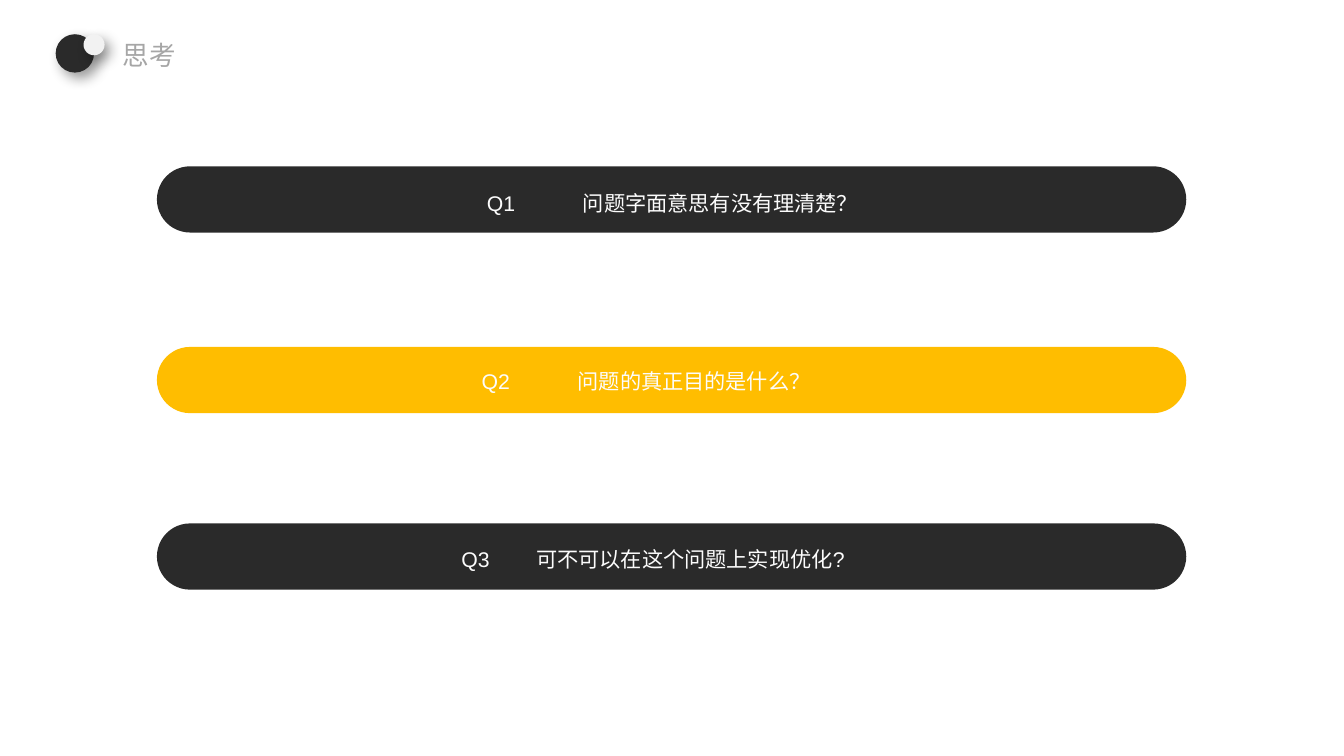
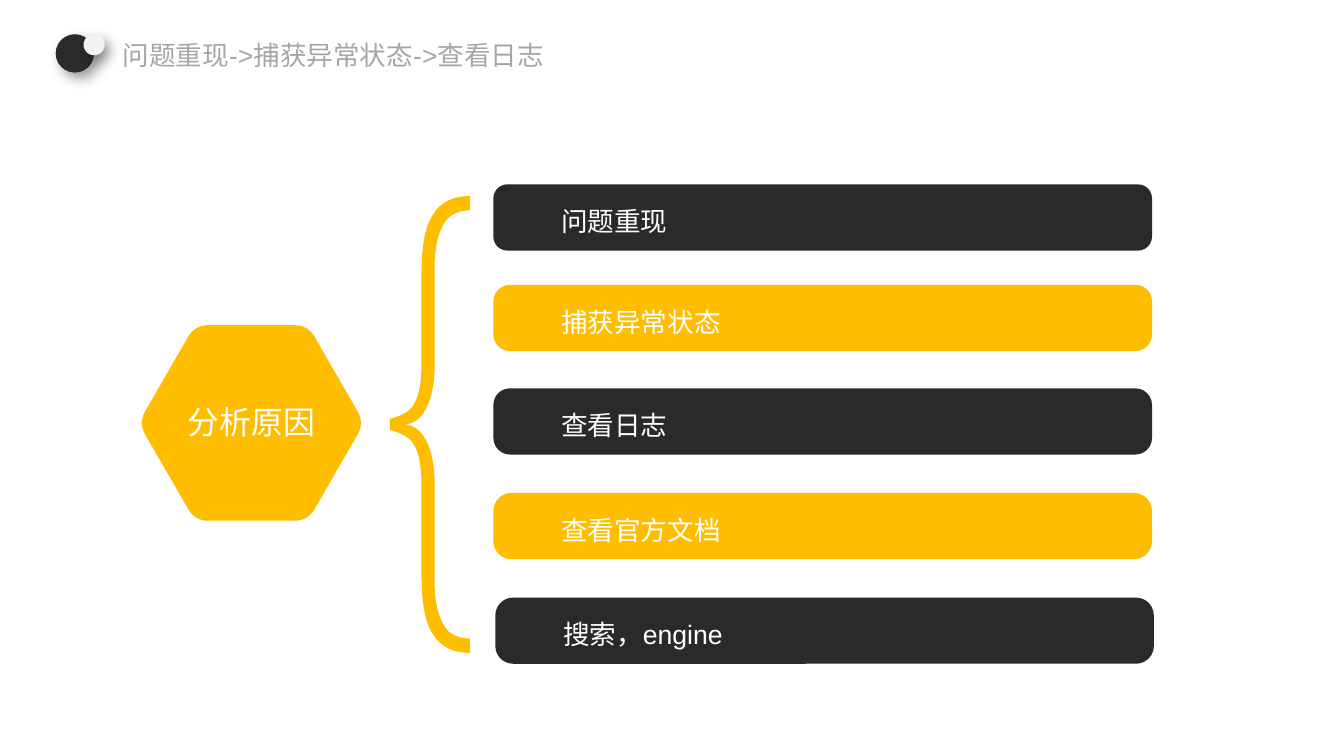
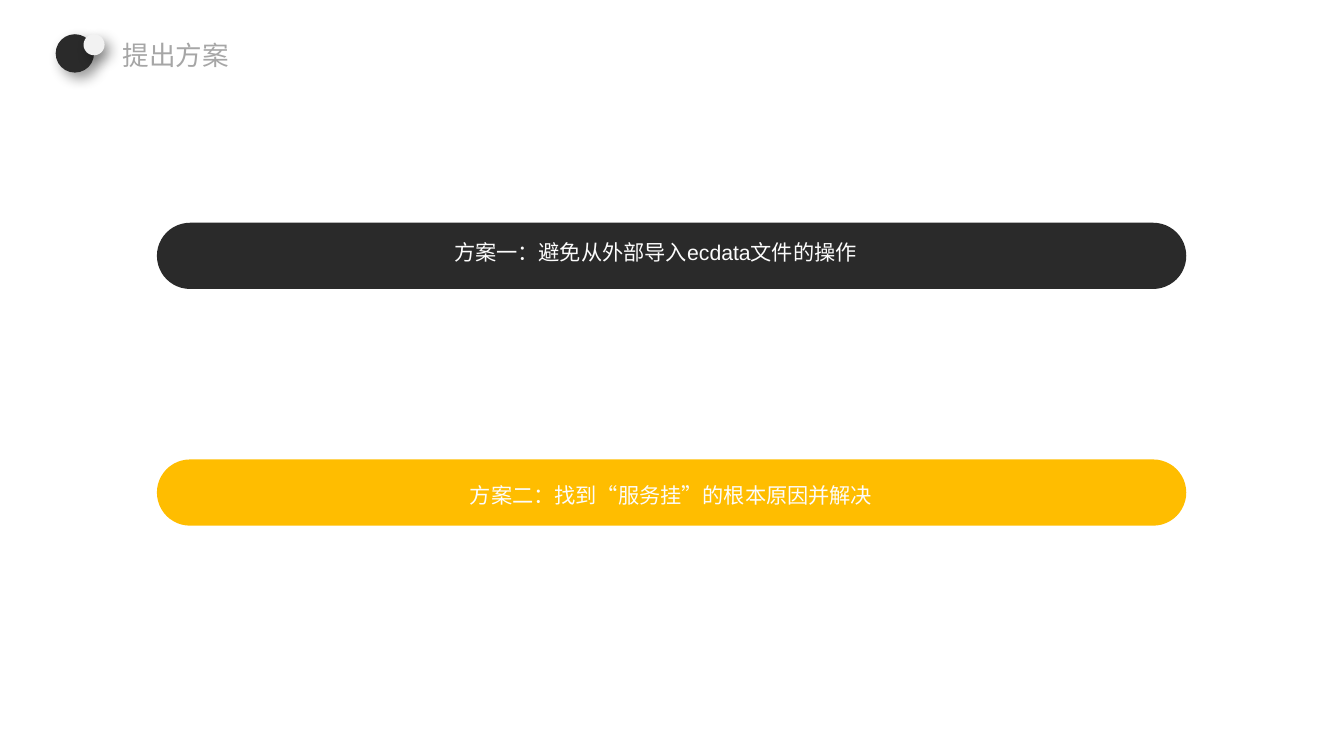
import math
import pptx
import pptx.util
import pptx.dml.color
import pptx.enum.shapes
import pptx.enum.text
import pptx.oxml.ns
import lxml.etree

Cm = pptx.util.Cm
Pt = pptx.util.Pt
RGB = pptx.dml.color.RGBColor
KIND = pptx.enum.shapes.MSO_SHAPE
ALIGN = pptx.enum.text.PP_ALIGN
ANCHOR = pptx.enum.text.MSO_ANCHOR
qn = pptx.oxml.ns.qn

# Shared style
FONT = "Arial"
DARK = RGB(0x2A, 0x2A, 0x2A)
GOLD = RGB(0xFF, 0xBD, 0x00)
PALE = RGB(0xF2, 0xF2, 0xF2)
GREY = RGB(0xA6, 0xA6, 0xA6)
SOFT = RGB(0xFC, 0xFC, 0xFC)
WHITE = RGB(0xFF, 0xFF, 0xFF)
BAR_LEFT, BAR_WIDE, BAR_HIGH = 4.17, 27.35, 1.76


def paint(shape, fill):
    shape.shadow.inherit = False
    shape.fill.solid()
    shape.fill.fore_color.rgb = fill
    shape.line.fill.background()
    return shape


def add_box(slide, kind, x, y, wide, high, fill):
    shape = slide.shapes.add_shape(kind, Cm(x), Cm(y), Cm(wide), Cm(high))
    return paint(shape, fill)


def write(shape, text, size, color, align, space=1.0, anchor=ANCHOR.TOP,
          inset=(0, 0, 0, 0)):
    frame = shape.text_frame
    frame.word_wrap = True
    frame.auto_size = pptx.enum.text.MSO_AUTO_SIZE.NONE
    frame.vertical_anchor = anchor
    (frame.margin_left, frame.margin_top,
     frame.margin_right, frame.margin_bottom) = map(Cm, inset)
    para = frame.paragraphs[0]
    para.alignment = align
    para.line_spacing = space
    para.space_before = Pt(0)
    run = para.add_run()
    run.text = text
    run.font.name = FONT
    run.font.size = Pt(size)
    run.font.color.rgb = color
    return para


def add_text(slide, x, y, wide, high, *words, **style):
    box = slide.shapes.add_textbox(Cm(x), Cm(y), Cm(wide), Cm(high))
    return write(box, *words, **style)


def add_tab(para, stop):
    tabs = lxml.etree.SubElement(para._p.get_or_add_pPr(), qn("a:tabLst"))
    lxml.etree.SubElement(tabs, qn("a:tab"), pos=str(Cm(stop)), algn="l")


# Header: two balls with soft shadows and the title
def add_ball(slide, x, y, size, fill):
    ball = add_box(slide, KIND.OVAL, x, y, size, size, fill)
    effect = ball._element.spPr.find(qn("a:effectLst"))
    shade = lxml.etree.SubElement(
        effect, qn("a:outerShdw"), blurRad=str(Pt(10)), dist=str(Pt(6)),
        dir=str(45 * 60000), algn="tl", rotWithShape="0")
    color = lxml.etree.SubElement(shade, qn("a:srgbClr"), val="000000")
    lxml.etree.SubElement(color, qn("a:alpha"), val="40000")


def add_page(deck, text, wide=8.51):
    slide = deck.slides.add_slide(deck.slide_layouts[5])
    title = slide.shapes.title
    title.left, title.top = Cm(2.98), Cm(0.91)
    title.width, title.height = Cm(wide), Cm(1.02)
    para = write(title, text, 20, GREY, ALIGN.LEFT,
                 inset=(0.28, 0.13, 0.28, 0.13))
    para.space_after = Pt(6)
    add_ball(slide, 1.48, 0.91, 1.02, DARK)
    add_ball(slide, 2.22, 0.91, 0.56, PALE)
    return slide


# Wide pill with a label placed relative to it
def add_pill(slide, top, fill, text, dx, dy, space=1.2, indent=0, stop=None):
    pill = add_box(slide, KIND.ROUNDED_RECTANGLE, BAR_LEFT, top,
                   BAR_WIDE, BAR_HIGH, fill)
    pill.adjustments[0] = 0.5
    align = ALIGN.LEFT if stop else ALIGN.CENTER
    para = add_text(slide, BAR_LEFT + dx, top + dy, 11.81, 1.19,
                    text, 16, SOFT, align, space=space,
                    anchor=ANCHOR.MIDDLE, inset=(indent, 0, 0, 0))
    if stop:
        add_tab(para, stop)


# Outlines: a part is one point (line) or three points (curve)
def add_shape(slide, start, parts, fill):
    pen = slide.shapes.build_freeform(*map(Cm, start))
    pen.add_line_segments([tuple(map(Cm, part[-1])) for part in parts],
                          close=True)
    shape = paint(pen.convert_to_shape(), fill)
    lines = shape._element.spPr.findall(".//" + qn("a:lnTo"))
    for line, part in zip(lines, parts):
        if len(part) == 3:
            bend = lxml.etree.Element(qn("a:cubicBezTo"))
            for x, y in part:
                lxml.etree.SubElement(bend, qn("a:pt"),
                                      x=str(Cm(x) - shape.left),
                                      y=str(Cm(y) - shape.top))
            line.getparent().replace(line, bend)


def blend(a, b, part):
    return tuple(p + (q - p) * part for p, q in zip(a, b))


def add_hex(slide, x, y, size, cut, text):
    """Hexagon with round corners, centred on x, y."""
    tips = [(x + size * math.cos(math.radians(a)),
             y + size * math.sin(math.radians(a))) for a in range(0, 360, 60)]
    parts = []
    for i, tip in enumerate(tips):
        start = blend(tip, tips[i - 1], cut / size)
        end = blend(tip, tips[(i + 1) % 6], cut / size)
        into, out = blend(start, tip, 0.5), blend(tip, end, 0.5)
        top = blend(into, out, 0.5)
        parts += [[start],
                  [blend(start, into, 2 / 3), blend(top, into, 2 / 3), top],
                  [blend(top, out, 2 / 3), blend(end, out, 2 / 3), end]]
    add_shape(slide, parts[0][0], parts[1:], GOLD)
    add_text(slide, x - 1.78, y - 0.75, 3.56, 1.12, text, 24, WHITE,
             ALIGN.CENTER, space=1.2)


def add_brace(slide, left, mid):
    """Brace pointing left; one half is given and then mirrored."""
    tip = (0, 0.15)
    half = [
        [(0.33, 0.23), (0.56, 0.36), (0.66, 0.58)],
        [(0.79, 0.79), (0.84, 1.17), (0.84, 1.65)],
        [(0.84, 3.96)],
        [(0.84, 4.75), (0.94, 5.31), (1.17, 5.61)],
        [(1.37, 5.92), (1.7, 6.07), (2.13, 6.07)],
        [(2.13, 5.69)],
        [(1.8, 5.69), (1.55, 5.56), (1.42, 5.31)],
        [(1.27, 5.05), (1.19, 4.67), (1.19, 4.19)],
        [(1.19, 1.55)],
        [(1.19, 0.84), (0.97, 0), (0.36, 0)],
    ]
    ends = [tip] + [part[-1] for part in half[:-1]]
    back = [part[-2::-1] + [end]
            for part, end in zip(reversed(half), reversed(ends))]
    upper, lower = ([[(left + x, mid + sign * y) for x, y in part]
                     for part in side]
                    for sign, side in ((-1, half), (1, back)))
    add_shape(slide, (left, mid - tip[1]), upper + lower, GOLD)


def add_list(slide, left, rows):
    for i, (shift, top, bend, text) in enumerate(rows):
        x = left + shift
        bar = add_box(slide, KIND.ROUNDED_RECTANGLE, x, top, 17.5, BAR_HIGH,
                      GOLD if i % 2 else DARK)
        bar.adjustments[0] = bend
        add_text(slide, x + 1.8, top + 0.38, 13.56, 0.94, text, 20, WHITE,
                 ALIGN.JUSTIFY, space=1.2)


# Slides
def ask(deck):
    slide = add_page(deck, "思考")
    add_pill(slide, 4.42, DARK, "Q1\t问题字面意思有没有理清楚？", 7.8, 0.28,
             space=1.3, indent=0.97, stop=2.55)
    add_pill(slide, 9.22, GOLD, "Q2\t问题的真正目的是什么？", 7.08, 0.25,
             indent=1.55, stop=2.55)
    add_pill(slide, 13.91, DARK, "Q3\t可不可以在这个问题上实现优化?", 7.34,
             0.28, indent=0.75, stop=1.99)


def study(deck):
    slide = add_page(deck, "问题重现->捕获异常状态->查看日志", 14.07)
    add_hex(slide, 6.68, 11.24, 3, 0.36, "分析原因")
    add_brace(slide, 10.36, 11.28)
    add_list(slide, 13.11, [
        (0, 4.9, 0.21, "问题重现"),
        (0, 7.57, 0.25, "捕获异常状态"),
        (0, 10.32, 0.25, "查看日志"),
        (0, 13.1, 0.27, "查看官方文档"),
        (0.05, 15.88, 0.27, "搜索，engine"),
    ])


def solve(deck):
    slide = add_page(deck, "提出方案")
    add_pill(slide, 5.92, DARK, "方案一：避免从外部导入ecdata文件的操作",
             7.34, 0.08, space=1.3)
    add_pill(slide, 12.21, GOLD, "方案二：找到“服务挂”的根本原因并解决",
             7.76, 0.28)


def main():
    deck = pptx.Presentation()
    deck.slide_width, deck.slide_height = Cm(35.71), Cm(20.09)
    for build in (ask, study, solve):
        build(deck)
    deck.save("out.pptx")


if __name__ == "__main__":
    main()
